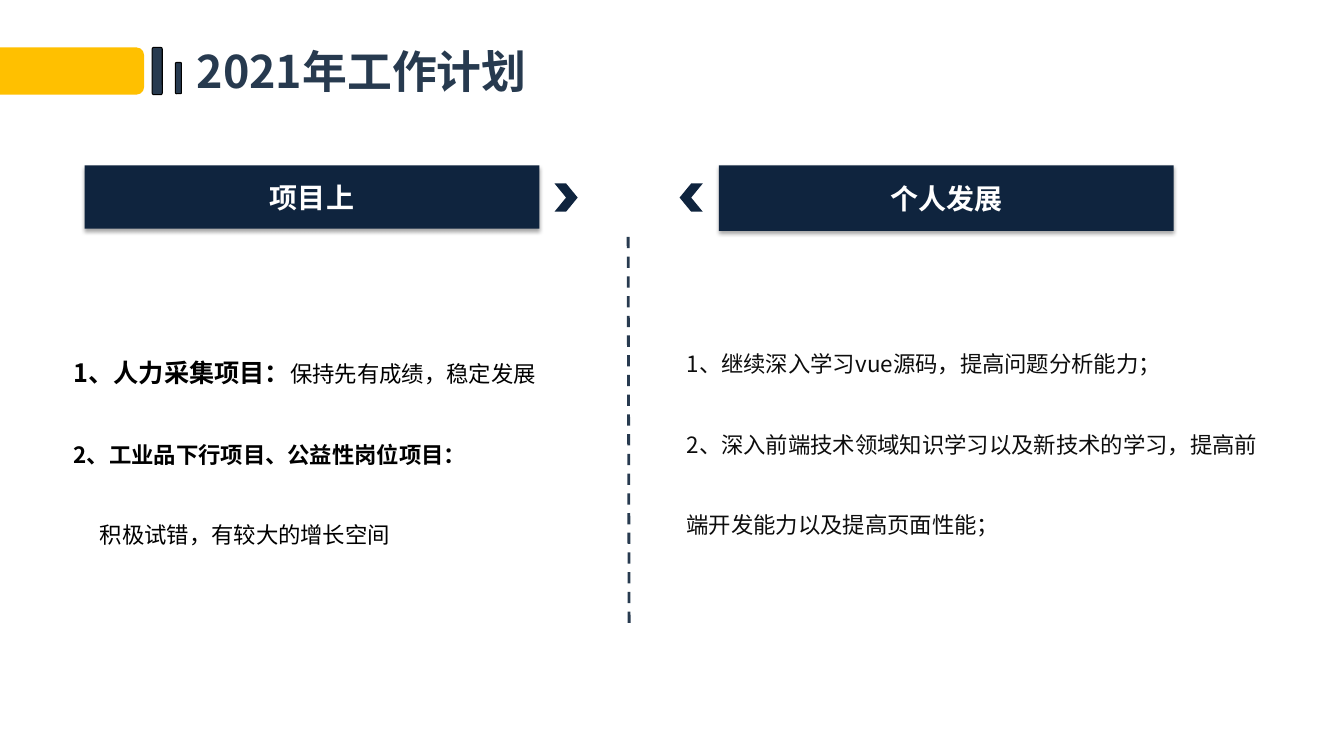
from lxml import etree
from pptx import Presentation
from pptx.dml.color import RGBColor
from pptx.enum import dml, shapes, text
from pptx.oxml import ns
from pptx.util import Inches, Pt

COLORS = {
    "gold": "FFC000",
    "slate": "273A4F",
    "navy": "0F243E",
    "black": "000000",
    "ink": "0D0D0D",
    "white": "FFFFFF",
}
FONT = "Noto Sans CJK SC"
TEXT_INSETS = {
    "margin_left": Inches(0.07),
    "margin_right": Inches(0.07),
    "margin_top": Inches(0.04),
    "margin_bottom": Inches(0.04),
}
PLAN_PARAGRAPH = {"line_spacing": 3, "space_before": Pt(0), "space_after": Pt(0)}


def apply_format(target, values):
    for key, value in values.items():
        setattr(target, key, value)


def rgb(color):
    return RGBColor.from_string(COLORS[color])


def add_element(parent, tag, **attributes):
    return etree.SubElement(parent, ns.qn(tag), attributes)


def place(part, box):
    apply_format(part, dict(zip(("left", "top", "width", "height"), map(Inches, box))))


def add_words(paragraph, words, size, color, bold):
    run = paragraph.add_run()
    run.text = words
    apply_format(run.font, {"name": FONT, "size": Pt(size), "bold": bold})
    run.font.color.rgb = rgb(color)
    add_element(run.font._element, "a:ea", typeface=FONT)


def add_block(slide, preset, box, fill, outline=None):
    block = slide.shapes.add_shape(preset, *map(Inches, box))
    block.shadow.inherit = False
    block.fill.solid()
    block.fill.fore_color.rgb = rgb(fill)
    if outline:
        block.line.color.rgb = rgb(outline)
        block.line.width = Pt(0.75)
    else:
        block.line.fill.background()
    return block


def build_header(slide, box):
    left, top, width, height = box
    rounded = shapes.MSO_SHAPE.ROUNDED_RECTANGLE
    add_block(slide, rounded, (left - 0.21, top + 0.09, 1.64, 0.47), "gold")
    for offset, drop, thickness, length in ((1.51, 0.09, 0.1, 0.47), (1.74, 0.24, 0.06, 0.31)):
        add_block(slide, rounded, (left + offset, top + drop, thickness, length), "slate", "black")

    title = slide.shapes.title
    place(title, (left + 1.85, top, width - 1.85, height))
    apply_format(title.text_frame, {
        "word_wrap": True,
        "vertical_anchor": text.MSO_ANCHOR.TOP,
        "auto_size": text.MSO_AUTO_SIZE.SHAPE_TO_FIT_TEXT,
    })
    heading = title.text_frame.paragraphs[0]
    heading.alignment = text.PP_ALIGN.LEFT
    add_words(heading, "2021年工作计划", 32, "slate", True)


def build_banner(slide, box, label, chevron_offset, chevron_rotation):
    left, top, _, _ = box
    banner = add_block(slide, shapes.MSO_SHAPE.RECTANGLE, box, "navy")
    effects = banner._element.spPr.find(ns.qn("a:effectLst"))
    shadow = add_element(effects, "a:outerShdw", blurRad=str(Pt(3.1)), dist=str(Pt(1.8)),
                         dir="5400000", rotWithShape="0")
    shade = add_element(shadow, "a:srgbClr", val=COLORS["black"])
    add_element(shade, "a:alpha", val="35000")

    banner.text_frame.vertical_anchor = text.MSO_ANCHOR.MIDDLE
    caption = banner.text_frame.paragraphs[0]
    caption.alignment = text.PP_ALIGN.CENTER
    add_words(caption, label, 20, "white", True)

    chevron = add_block(slide, shapes.MSO_SHAPE.CHEVRON,
                        (left + chevron_offset, top + 0.18, 0.23, 0.28), "navy")
    chevron.rotation = chevron_rotation


def build_plans(plans, box, color, items):
    place(plans, box)
    frame = plans.text_frame
    apply_format(frame, {
        **TEXT_INSETS,
        "word_wrap": True,
        "vertical_anchor": text.MSO_ANCHOR.TOP,
        "auto_size": text.MSO_AUTO_SIZE.SHAPE_TO_FIT_TEXT,
    })
    for number, (indent, pieces) in enumerate(items):
        plan = frame.add_paragraph() if number else frame.paragraphs[0]
        apply_format(plan, PLAN_PARAGRAPH)
        properties = plan._p.get_or_add_pPr()
        apply_indent = {"marL": str(Inches(indent)), "indent": "0"}
        for key, value in apply_indent.items():
            properties.set(key, value)
        add_element(properties, "a:buNone")
        for words, size, bold in pieces:
            add_words(plan, words, size, color, bold)


def build_divider(slide, box):
    left, top, width, height = box
    divider = slide.shapes.add_connector(
        shapes.MSO_CONNECTOR.STRAIGHT,
        *map(Inches, (left, top, left + width, top + height)))
    apply_format(divider.line, {"width": Pt(2), "dash_style": dml.MSO_LINE.DASH})
    divider.line.color.rgb = rgb("slate")
    add_element(divider._element.spPr, "a:effectLst")


def main():
    deck = Presentation()
    apply_format(deck, {"slide_width": Inches(13.33), "slide_height": Inches(7.5)})
    slide = deck.slides.add_slide(deck.slide_layouts[3])
    project_plans, personal_plans = slide.placeholders[1], slide.placeholders[2]

    build_header(slide, (0, 0.38, 7.22, 0.64))
    build_divider(slide, (6.23, 2.35, 0.01, 3.9))
    build_banner(slide, (0.84, 1.64, 4.51, 0.63), "项目上", 4.66, 0)
    build_banner(slide, (7.13, 1.64, 4.51, 0.65), "个人发展", -0.39, 180)
    build_plans(project_plans, (0.66, 2.9, 5.07, 3), "black", [
        (0, [("1、人力采集项目：", 18, True), ("保持先有成绩，稳定发展", 16, False)]),
        (0, [("2、工业品下行项目、公益性岗位项目：", 16, True)]),
        (0.26, [("积极试错，有较大的增长空间", 16, False)]),
    ])
    build_plans(personal_plans, (6.74, 2.9, 5.94, 2.5), "ink", [
        (0, [("1、继续深入学习vue源码，提高问题分析能力；", 16, False)]),
        (0, [("2、深入前端技术领域知识学习以及新技术的学习，提高前端开发能力以及提高页面性能；", 16, False)]),
    ])
    deck.save("out.pptx")


if __name__ == "__main__":
    main()
